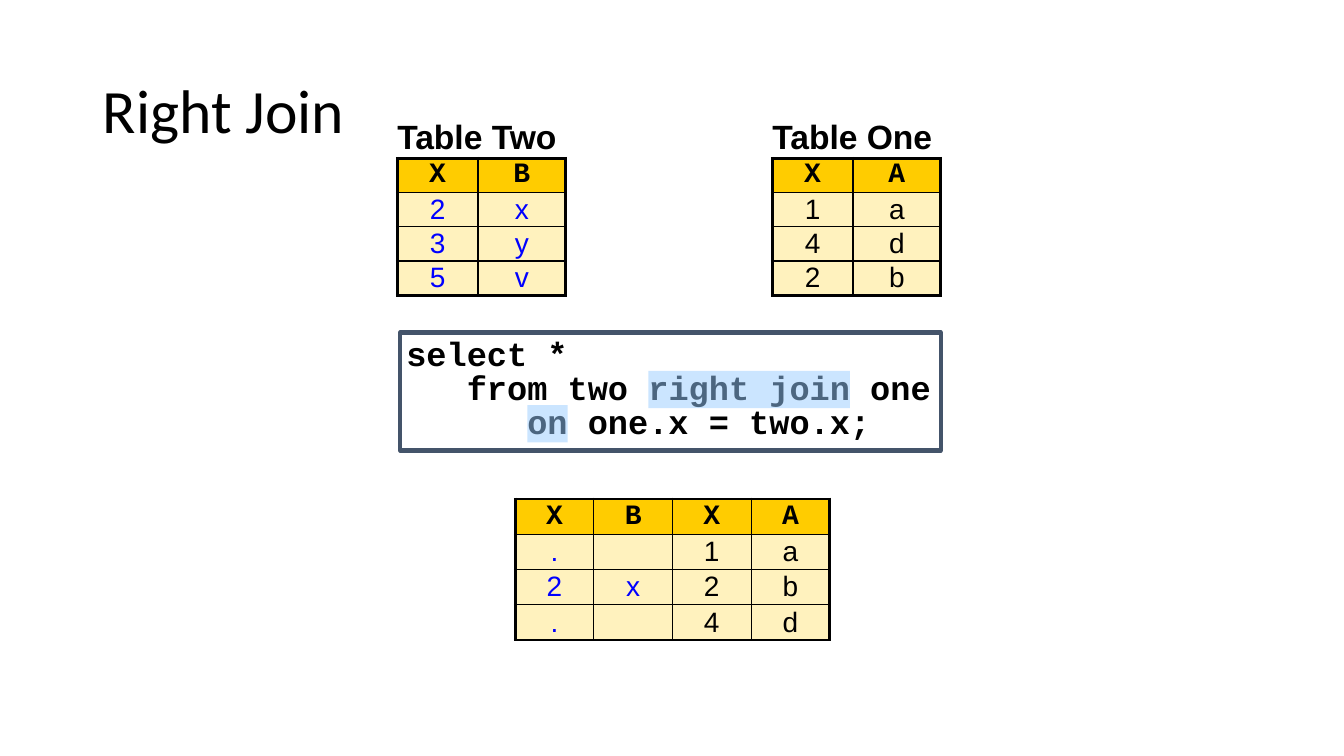
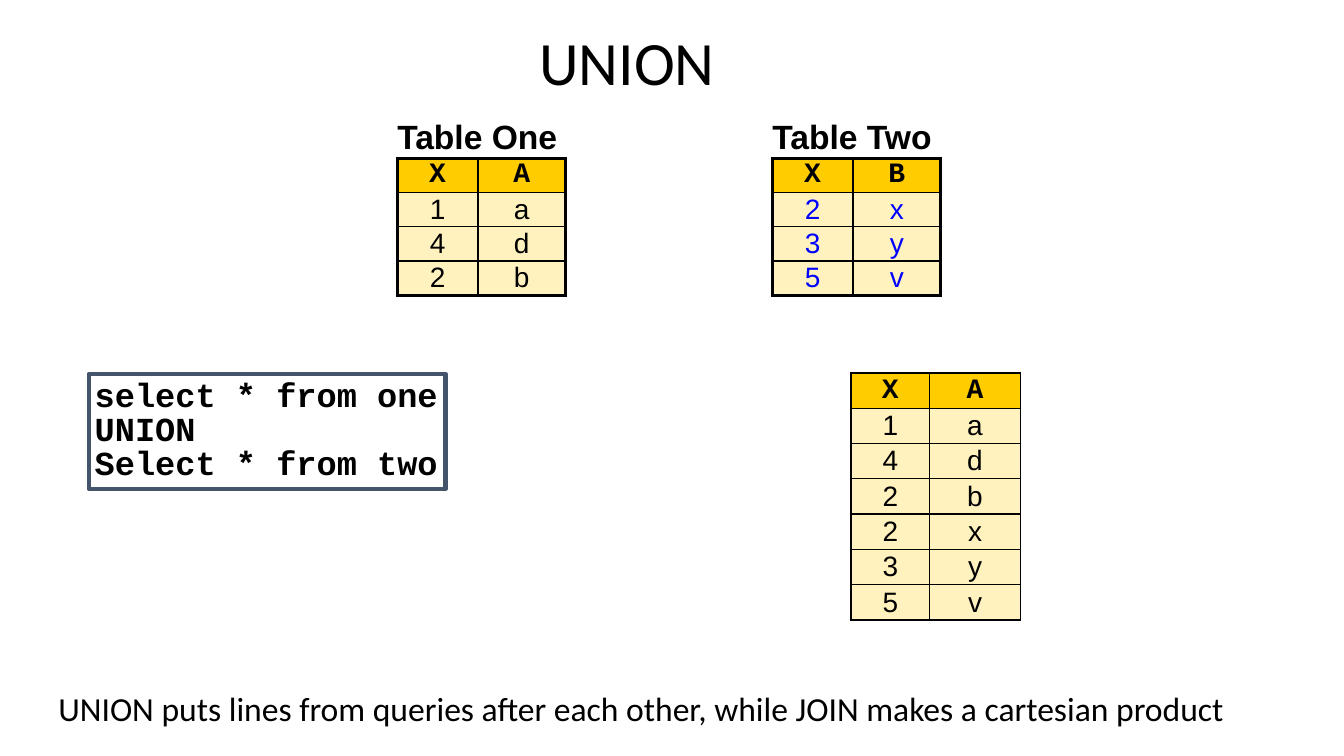
from lxml.etree import SubElement
from pptx import Presentation
from pptx.dml.color import RGBColor
from pptx.enum.shapes import MSO_SHAPE
from pptx.enum.text import MSO_ANCHOR, MSO_AUTO_SIZE, PP_ALIGN
from pptx.oxml.ns import qn
from pptx.util import Inches, Pt

WIDTH, HEIGHT = 13.33, 7.5

THEME = {
    "black": "000000", "blue": "0000FF", "white": "FFFFFF",
    "header": "FFCC00", "body": "FFF2BE", "frame": "44546A", "marker": "99CCFF",
    "thin": 1, "thick": 2.25, "frame_width": 3,
    "title": {"name": "Calibri", "size": Pt(44), "bold": False},
    "note": {"name": "Calibri", "size": Pt(24), "bold": False},
    "caption": {"name": "Arial", "size": Pt(24), "bold": True},
    "column": {"name": "Courier New", "size": Pt(20), "bold": True},
    "value": {"name": "Arial", "size": Pt(20), "bold": False},
    "code": {"name": "Courier New", "size": Pt(24), "bold": True},
}

# Source tables; "blue" lists the columns with blue values
TABLE_ONE = {"caption": "Table One", "blue": (), "columns": (0.8, 0.87), "row": 0.34,
             "rows": [("X", "A"), ("1", "a"), ("4", "d"), ("2", "b")]}
TABLE_TWO = {"caption": "Table Two", "blue": (0, 1), "columns": (0.8, 0.87), "row": 0.34,
             "rows": [("X", "B"), ("2", "x"), ("3", "y"), ("5", "v")]}

# Query results
JOIN_RESULT = {"caption": "", "blue": (0, 1), "columns": (0.78,) * 4, "row": 0.35,
               "rows": [("X", "B", "X", "A"), (".", "", "1", "a"),
                        ("2", "x", "2", "b"), (".", "", "4", "d")]}
UNION_RESULT = {"caption": "", "blue": (), "columns": (0.78, 0.9), "row": 0.35,
                "right_edge": "thin",
                "rows": TABLE_ONE["rows"] + TABLE_TWO["rows"][1:]}

LEFT_TABLE, RIGHT_TABLE = (3.94, 1.17), (7.66, 1.17)
CAPTION_HEIGHT = 0.4

# Code lines: indent in characters, text, highlighted words
SLIDES = [
    {"title": "Right Join", "title_box": (0.92, 0.4, 11.5, 1.45),
     "title_align": PP_ALIGN.LEFT,
     "code_box": (3.97, 3.3, 5.36, 1.17),
     "code": [(0, "select *", ""),
              (3, "from two right join one", "right join"),
              (6, "on one.x = two.x;", "on")],
     "tables": [(TABLE_ONE, RIGHT_TABLE), (TABLE_TWO, LEFT_TABLE),
                (JOIN_RESULT, (5.11, 4.55))]},
    {"title": "UNION", "title_box": (0.47, 0.15, 11.5, 1.01),
     "title_align": PP_ALIGN.CENTER,
     "code_box": (0.88, 3.71, 3.54, 1.14),
     "code": [(0, "select * from one", ""), (0, "UNION", ""),
              (0, "Select * from two", "")],
     "tables": [(TABLE_ONE, LEFT_TABLE), (TABLE_TWO, RIGHT_TABLE),
                (UNION_RESULT, (8.44, 3.3))],
     "note": "UNION puts lines from queries after each other, "
             "while JOIN makes a cartesian product",
     "note_box": (0.48, 6.78, 11.88, 0.5)},
]

# Code grid: width of a character, distance of lines, inset of the box
CHARACTER, LINE_PITCH, CODE_INSET = 0.2, 0.34, 0.06
MARKER_TOP, MARKER_HEIGHT = 0.04, 0.37


def color(name):
    return RGBColor.from_string(THEME[name])


def set_all(target, values):
    for name, value in values.items():
        setattr(target, name, value)


def write(paragraph, text, style, ink="black"):
    run = paragraph.add_run()
    run.text = text
    set_all(run.font, THEME[style])
    run.font.color.rgb = color(ink)


def set_margins(target, horizontal, vertical):
    set_all(target, {"margin_left": Inches(horizontal), "margin_right": Inches(horizontal),
                     "margin_top": Inches(vertical), "margin_bottom": Inches(vertical)})


def add_rectangle(slide, box, fill):
    shape = slide.shapes.add_shape(MSO_SHAPE.RECTANGLE, *map(Inches, box))
    shape.shadow.inherit = False
    shape.fill.solid()
    shape.fill.fore_color.rgb = color(fill)
    shape.line.fill.background()
    return shape


def set_title(slide, content):
    title = slide.shapes.title
    sides = ("left", "top", "width", "height")
    set_all(title, dict(zip(sides, map(Inches, content["title_box"]))))
    set_all(title.text_frame, {"vertical_anchor": MSO_ANCHOR.MIDDLE, "word_wrap": True,
                               "auto_size": MSO_AUTO_SIZE.NONE})
    paragraph = title.text_frame.paragraphs[0]
    set_all(paragraph, {"alignment": content["title_align"], "line_spacing": 0.9})
    write(paragraph, content["title"], "title")


def add_code(slide, box, lines):
    shape = add_rectangle(slide, box, "white")
    shape.line.color.rgb = color("frame")
    shape.line.width = Pt(THEME["frame_width"])
    frame = shape.text_frame
    set_all(frame, {"word_wrap": True, "vertical_anchor": MSO_ANCHOR.TOP})
    set_margins(frame, CODE_INSET, CODE_INSET)
    for index, (indent, text, _) in enumerate(lines):
        paragraph = frame.add_paragraph() if index else frame.paragraphs[0]
        set_all(paragraph, {"alignment": PP_ALIGN.LEFT, "line_spacing": 0.85})
        properties = paragraph._p.get_or_add_pPr()
        properties.set("marL", str(Inches(indent * CHARACTER)))
        properties.set("indent", "0")
        write(paragraph, text, "code")


def add_markers(slide, box, lines):
    left, top = box[:2]
    for index, (indent, text, words) in enumerate(lines):
        if words:
            start = indent + text.index(words)
            marker = add_rectangle(
                slide, (left + CODE_INSET + start * CHARACTER,
                        top + MARKER_TOP + index * LINE_PITCH,
                        len(words) * CHARACTER, MARKER_HEIGHT), "marker")
            fill = marker._element.spPr.find(qn("a:solidFill"))[0]
            SubElement(fill, qn("a:alpha"), val="50000")


def set_borders(cell, weights):
    """Weights are theme names for left, right, top and bottom, or None."""
    properties = cell._tc.get_or_add_tcPr()
    for position, (tag, weight) in enumerate(zip(("lnL", "lnR", "lnT", "lnB"), weights)):
        line = properties.makeelement(qn("a:" + tag), {})
        properties.insert(position, line)
        if weight:
            line.set("w", str(Pt(THEME[weight])))
            fill = SubElement(line, qn("a:solidFill"))
            SubElement(fill, qn("a:srgbClr"), val=THEME["black"])
        else:
            SubElement(line, qn("a:noFill"))


def add_data_table(slide, content, place):
    rows, columns = content["rows"], content["columns"]
    last_row, last_column = len(rows) - 1, len(columns) - 1
    height = CAPTION_HEIGHT + len(rows) * content["row"]
    size = (sum(columns), height)
    table = slide.shapes.add_table(len(rows) + 1, len(columns),
                                   *map(Inches, place + size)).table
    set_all(table, {"first_row": False, "horz_banding": False})
    for column, width in zip(table.columns, columns):
        column.width = Inches(width)
    for index, row in enumerate(table.rows):
        row.height = Inches(content["row"] if index else CAPTION_HEIGHT)

    # Caption across all columns
    for cell in table.rows[0].cells:
        cell.fill.background()
        cell.vertical_anchor = MSO_ANCHOR.MIDDLE
        set_margins(cell, 0, 0)
        set_borders(cell, (None, None, None, "thick"))
    caption = table.cell(0, 0)
    caption.merge(table.cell(0, last_column))
    if content["caption"]:
        write(caption.text_frame.paragraphs[0], content["caption"], "caption")

    # Column names and values
    for r, row in enumerate(rows):
        for c, text in enumerate(row):
            cell = table.cell(r + 1, c)
            cell.fill.solid()
            cell.fill.fore_color.rgb = color("body" if r else "header")
            cell.vertical_anchor = MSO_ANCHOR.MIDDLE
            set_margins(cell, 0.1, 0)
            right_edge = content.get("right_edge", "thick")
            set_borders(cell, ("thin" if c else "thick",
                               right_edge if c == last_column else "thin",
                               "thin" if r else "thick",
                               "thick" if r == last_row else "thin"))
            paragraph = cell.text_frame.paragraphs[0]
            paragraph.alignment = PP_ALIGN.CENTER
            if text:
                ink = "blue" if r and c in content["blue"] else "black"
                write(paragraph, text, "value" if r else "column", ink)


def add_note(slide, box, text):
    frame = slide.shapes.add_textbox(*map(Inches, box)).text_frame
    frame.word_wrap = True
    write(frame.paragraphs[0], text, "note")


def main():
    presentation = Presentation()
    set_all(presentation, {"slide_width": Inches(WIDTH), "slide_height": Inches(HEIGHT)})
    title_only = presentation.slide_layouts[5]
    for content in SLIDES:
        slide = presentation.slides.add_slide(title_only)
        set_title(slide, content)
        add_code(slide, content["code_box"], content["code"])
        for table, place in content["tables"]:
            add_data_table(slide, table, place)
        add_markers(slide, content["code_box"], content["code"])
        if "note" in content:
            add_note(slide, content["note_box"], content["note"])
    presentation.save("out.pptx")


if __name__ == "__main__":
    main()
